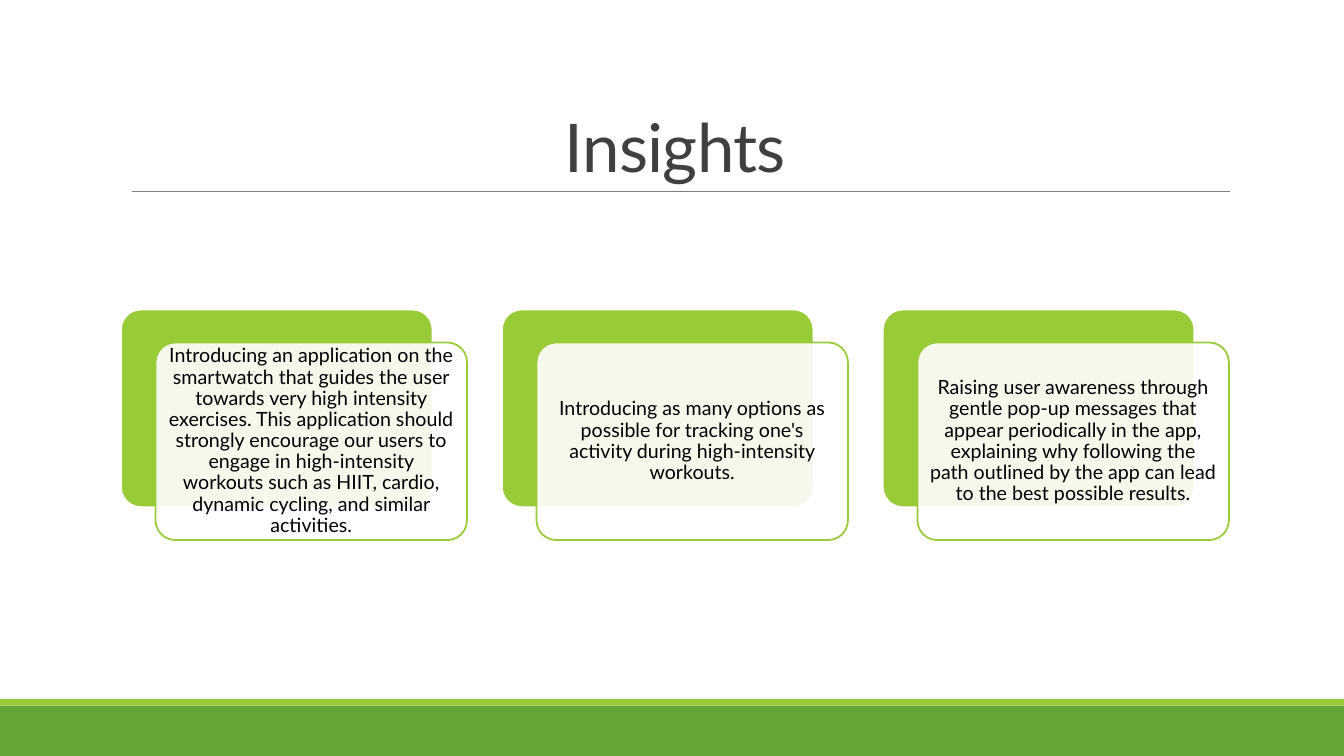
"""Build the Insights slide with three overlapping card pairs."""
import pptx
import pptx.dml.color
import pptx.enum.shapes
import pptx.enum.text
import pptx.oxml.ns
import pptx.oxml.xmlchemy
import pptx.util
from dataclasses import dataclass

TITLE = "Insights"
INSIGHTS = [
    "Introducing an application on the smartwatch that guides the user towards very high intensity exercises. "
    "This application should strongly encourage our users to engage in high-intensity workouts such as HIIT, "
    "cardio, dynamic cycling, and similar activities.",
    "Introducing as many options as possible for tracking one's activity during high-intensity workouts.",
    "Raising user awareness through gentle pop-up messages that appear periodically in the app, explaining why "
    "following the path outlined by the app can lead to the best possible results.",
]


@dataclass(frozen=True)
class Theme:
    """Colours, font and type sizes."""
    font: str = "Lato"
    title_size: int = 48
    body_size: int = 14
    title: str = "404040"
    body: str = "000000"
    rule: str = "808080"
    white: str = "FFFFFF"
    lime: str = "99CB38"
    green: str = "63A537"


THEME = Theme()
Cm = pptx.util.Cm
SHAPES = pptx.enum.shapes.MSO_SHAPE
ANCHORS = pptx.enum.text.MSO_ANCHOR

SLIDE_WIDTH, SLIDE_HEIGHT = 33.87, 19.05
BAND_HEIGHT, STRIPE_HEIGHT = 1.27, 0.17
CARD_LEFT, CARD_TOP, CARD_WIDTH, CARD_HEIGHT = 3.05, 7.8, 7.85, 4.98
CARD_PITCH, SHIFT_X, SHIFT_Y = 9.6, 0.87, 0.83


def colour(code):
    """Turn a hex code into a colour."""
    return pptx.dml.color.RGBColor.from_string(code)


def add_box(page, kind, left, top, width, height, fill, line=None, opacity=100):
    """Add a filled preset shape with an optional outline."""
    box = page.shapes.add_shape(kind, Cm(left), Cm(top), Cm(width), Cm(height))
    box.shadow.inherit = False
    box.fill.solid()
    box.fill.fore_color.rgb = colour(fill)
    if opacity < 100:
        tint = box._element.spPr.find(".//" + pptx.oxml.ns.qn("a:srgbClr"))
        alpha = pptx.oxml.xmlchemy.OxmlElement("a:alpha")
        alpha.set("val", str(opacity * 1000))
        tint.append(alpha)
    if line:
        box.line.color.rgb = colour(line)
        box.line.width = pptx.util.Pt(1.25)
    else:
        box.line.fill.background()
    if kind == SHAPES.ROUNDED_RECTANGLE:
        box.adjustments[0] = 0.1
    return box


def write(box, text, *, size, ink, anchor, spacing, inset_x, inset_y, tracking=0):
    """Write one centred paragraph into a box."""
    frame = box.text_frame
    frame.word_wrap = True
    frame.vertical_anchor = anchor
    frame.margin_left = frame.margin_right = Cm(inset_x)
    frame.margin_top = frame.margin_bottom = Cm(inset_y)
    para = frame.paragraphs[0]
    para.alignment = pptx.enum.text.PP_ALIGN.CENTER
    para.line_spacing = spacing
    span = para.add_run()
    span.text = text
    span.font.name = THEME.font
    span.font.size = pptx.util.Pt(size)
    span.font.color.rgb = colour(ink)
    if tracking:
        span.font._element.set("spc", str(round(tracking * 100)))


def add_rule(page, left, right, top):
    """Add the thin line under the title."""
    rule = page.shapes.add_connector(
        pptx.enum.shapes.MSO_CONNECTOR.STRAIGHT, Cm(left), Cm(top), Cm(right), Cm(top))
    rule.line.color.rgb = colour(THEME.rule)
    rule.line.width = pptx.util.Pt(0.5)
    rule._element.spPr.append(pptx.oxml.xmlchemy.OxmlElement("a:effectLst"))


def main():
    """Compose and save the slide."""
    deck = pptx.Presentation()
    deck.slide_width, deck.slide_height = Cm(SLIDE_WIDTH), Cm(SLIDE_HEIGHT)
    page = deck.slides.add_slide(deck.slide_layouts[6])

    band_top = SLIDE_HEIGHT - BAND_HEIGHT
    add_box(page, SHAPES.RECTANGLE, 0, band_top, SLIDE_WIDTH, BAND_HEIGHT, THEME.green)
    add_box(page, SHAPES.RECTANGLE, 0, band_top - STRIPE_HEIGHT, SLIDE_WIDTH, STRIPE_HEIGHT, THEME.lime)
    add_rule(page, 3.32, 31.0, 4.82)

    title = page.shapes.add_textbox(Cm(3.05), Cm(0.79), Cm(27.94), Cm(4.03))
    write(title, TITLE, size=THEME.title_size, ink=THEME.title, anchor=ANCHORS.BOTTOM,
          spacing=0.85, inset_x=0.25, inset_y=0.13, tracking=-0.5)

    for index, insight in enumerate(INSIGHTS):
        left = CARD_LEFT + index * CARD_PITCH
        add_box(page, SHAPES.ROUNDED_RECTANGLE, left, CARD_TOP, CARD_WIDTH, CARD_HEIGHT,
                THEME.lime, THEME.white)
        card = add_box(page, SHAPES.ROUNDED_RECTANGLE, left + SHIFT_X, CARD_TOP + SHIFT_Y,
                       CARD_WIDTH, CARD_HEIGHT, THEME.white, THEME.lime, opacity=90)
        write(card, insight, size=THEME.body_size, ink=THEME.body, anchor=ANCHORS.MIDDLE,
              spacing=0.9, inset_x=0.15, inset_y=0.15)

    deck.save("out.pptx")


if __name__ == "__main__":
    main()
